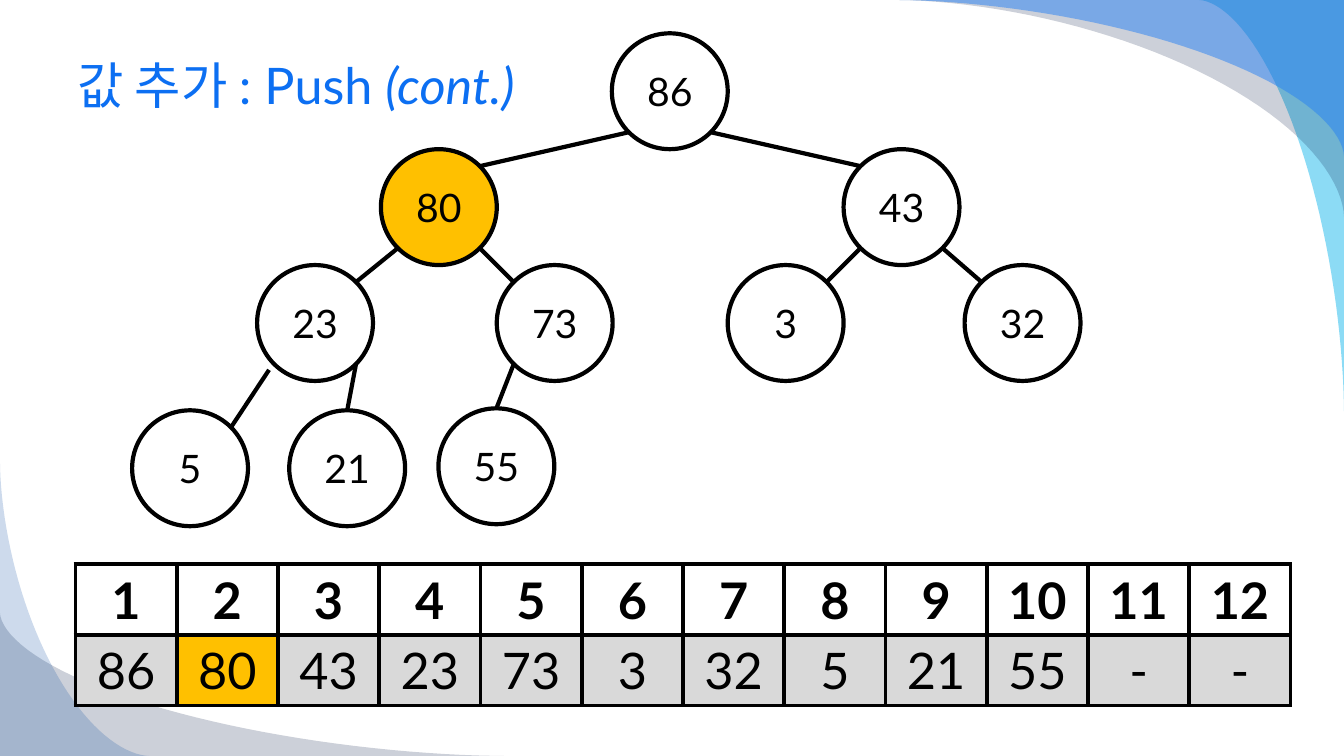
from math import cos, pi, sin

from lxml.etree import SubElement
from pptx import Presentation
from pptx.dml.color import RGBColor
from pptx.enum.shapes import MSO_CONNECTOR, MSO_SHAPE
from pptx.enum.text import MSO_ANCHOR, PP_ALIGN
from pptx.oxml.ns import qn
from pptx.util import Cm, Pt


def rgb(value):
    return RGBColor.from_string(value)


def add_run(p, text, size, color="000000", bold=False, italic=False):
    r = p.add_run()
    r.text = text
    r.font.name = "Lato"
    r.font.size = Pt(size)
    r.font.bold = bold
    r.font.italic = italic
    r.font.color.rgb = rgb(color)


prs = Presentation()
prs.slide_width, prs.slide_height = Cm(33.87), Cm(19.05)
s = prs.slides.add_slide(prs.slide_layouts[6])

swooshes = [
    (33.87, 0, -3.66, 10.36, "00B1E9", 45),
    (33.87, 0, -11.28, 5.46, "021741", 20),
    (33.87, 0, -11.28, 3.94, "247FF4", 49),
    (0, 19.05, 12.7, -3.61, "021741", 20),
    (0, 19.05, 3.76, -7.42, "084AA1", 20),
]
steps = 40
power = 2 / 1.75
for x, y, w, h, color, opacity in swooshes:
    angles = [i * pi / 2 / steps for i in range(steps + 1)]
    curve = [(Cm(x + w * (1 - sin(a) ** power)), Cm(y + h * (1 - cos(a) ** power)))
             for a in angles]
    fb = s.shapes.build_freeform(Cm(x), Cm(y))
    fb.add_line_segments(curve, close=True)
    sp = fb.convert_to_shape()
    sp.shadow.inherit = False
    sp.line.fill.background()
    sp.fill.solid()
    sp.fill.fore_color.rgb = rgb(color)
    clr = sp.fill._xPr.find(qn("a:solidFill"))[0]
    SubElement(clr, qn("a:alpha")).set("val", str(opacity * 1000))

tf = s.shapes.add_textbox(Cm(1.7), Cm(0.84), Cm(30.48), Cm(2.57)).text_frame
tf.word_wrap = True
tf.vertical_anchor = MSO_ANCHOR.MIDDLE
p = tf.paragraphs[0]
add_run(p, "값 추가 : Push ", 36, "0C6FF2")
add_run(p, "(cont.)", 36, "0C6FF2", italic=True)

heap = [86, 80, 43, 23, 73, 3, 32, 5, 21, 55]
added = 80
d = 2.92
centers = {
    86: (16.88, 2.3),
    80: (11.06, 5.22), 43: (22.72, 5.22),
    23: (7.94, 8.14), 73: (13.98, 8.14), 3: (19.8, 8.14), 32: (25.77, 8.14),
    5: (4.79, 11.8), 21: (8.75, 11.8), 55: (12.51, 11.75),
}
for value, (x, y) in centers.items():
    sp = s.shapes.add_shape(MSO_SHAPE.OVAL, Cm(x - d / 2), Cm(y - d / 2), Cm(d), Cm(d))
    sp.shadow.inherit = False
    sp.fill.solid()
    sp.fill.fore_color.rgb = rgb("FFC000" if value == added else "FFFFFF")
    sp.line.color.rgb = rgb("000000")
    sp.line.width = Pt(3)
    tf = sp.text_frame
    tf.vertical_anchor = MSO_ANCHOR.MIDDLE
    p = tf.paragraphs[0]
    p.alignment = PP_ALIGN.CENTER
    add_run(p, str(value), 28)

diagonal = d / 2 * sin(pi / 4)
joins = {5: (-1.16, 1.18), 21: (diagonal, diagonal), 55: (-diagonal, diagonal)}
tops = {21: (0, -d / 2), 55: (0, -d / 2)}
for i, child in enumerate(heap[1:], 1):
    parent = heap[(i - 1) // 2]
    side = -diagonal if i % 2 else diagonal
    px, py = joins.get(child, (side, diagonal))
    cx, cy = tops.get(child, (-side, -diagonal))
    x1, y1 = centers[parent]
    x2, y2 = centers[child]
    edge = s.shapes.add_connector(MSO_CONNECTOR.STRAIGHT, Cm(x1 + px), Cm(y1 + py),
                                  Cm(x2 + cx), Cm(y2 + cy))
    edge.line.color.rgb = rgb("000000")
    edge.line.width = Pt(3)
    SubElement(edge._element.spPr, qn("a:effectLst"))

columns = 12
rows = [list(range(1, columns + 1)), heap + ["-"] * (columns - len(heap))]
table = s.shapes.add_table(2, columns, Cm(1.9), Cm(14.22), Cm(30.63), Cm(3.56)).table
for col in table.columns:
    col.width = Cm(30.63 / columns)
for i, values in enumerate(rows):
    table.rows[i].height = Cm(1.78)
    for j, value in enumerate(values):
        cell = table.cell(i, j)
        cell.vertical_anchor = MSO_ANCHOR.MIDDLE
        p = cell.text_frame.paragraphs[0]
        p.alignment = PP_ALIGN.CENTER
        add_run(p, str(value), 36, bold=i == 0)
        tcPr = cell._tc.get_or_add_tcPr()
        for border in ("a:lnL", "a:lnR", "a:lnT", "a:lnB"):
            ln = SubElement(tcPr, qn(border), w=str(Pt(3)))
            fill = SubElement(ln, qn("a:solidFill"))
            SubElement(fill, qn("a:srgbClr"), val="000000")
        body = "FFC000" if value == added else "D9D9D9"
        cell.fill.solid()
        cell.fill.fore_color.rgb = rgb("FFFFFF" if i == 0 else body)

prs.save("out.pptx")
